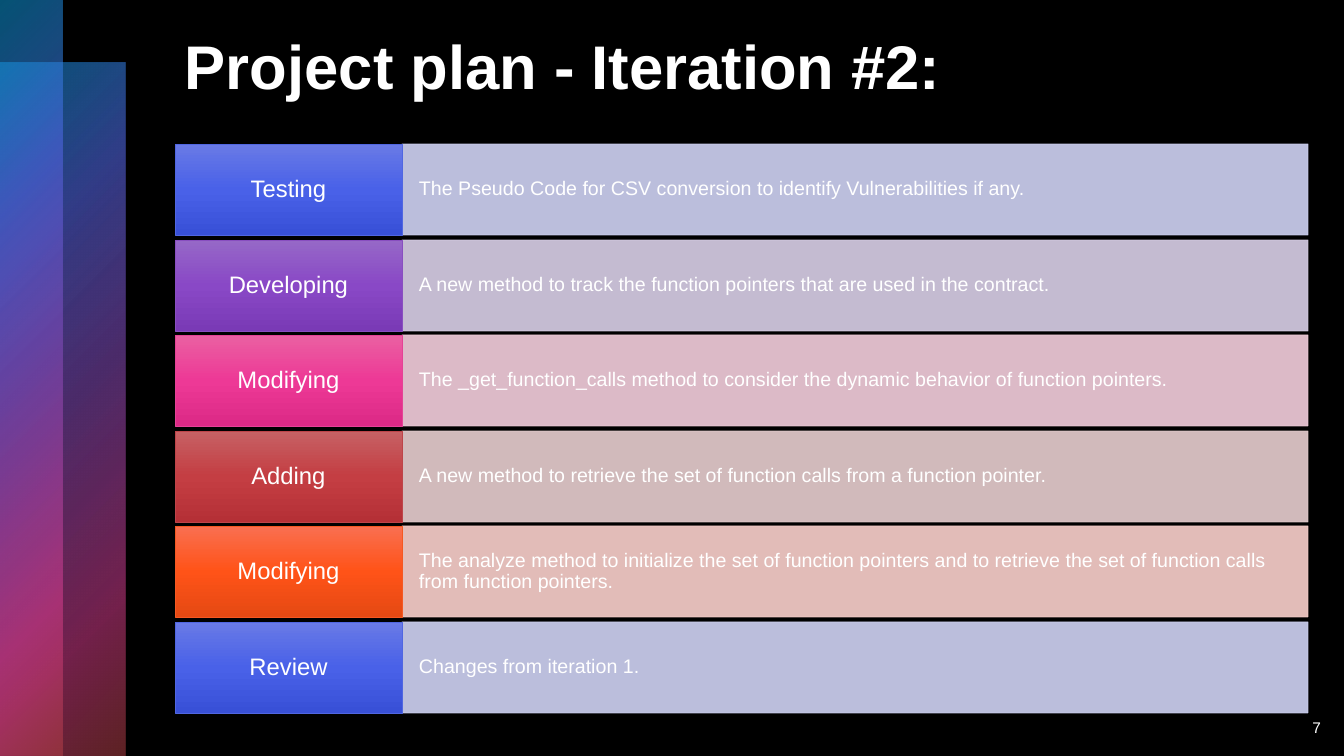
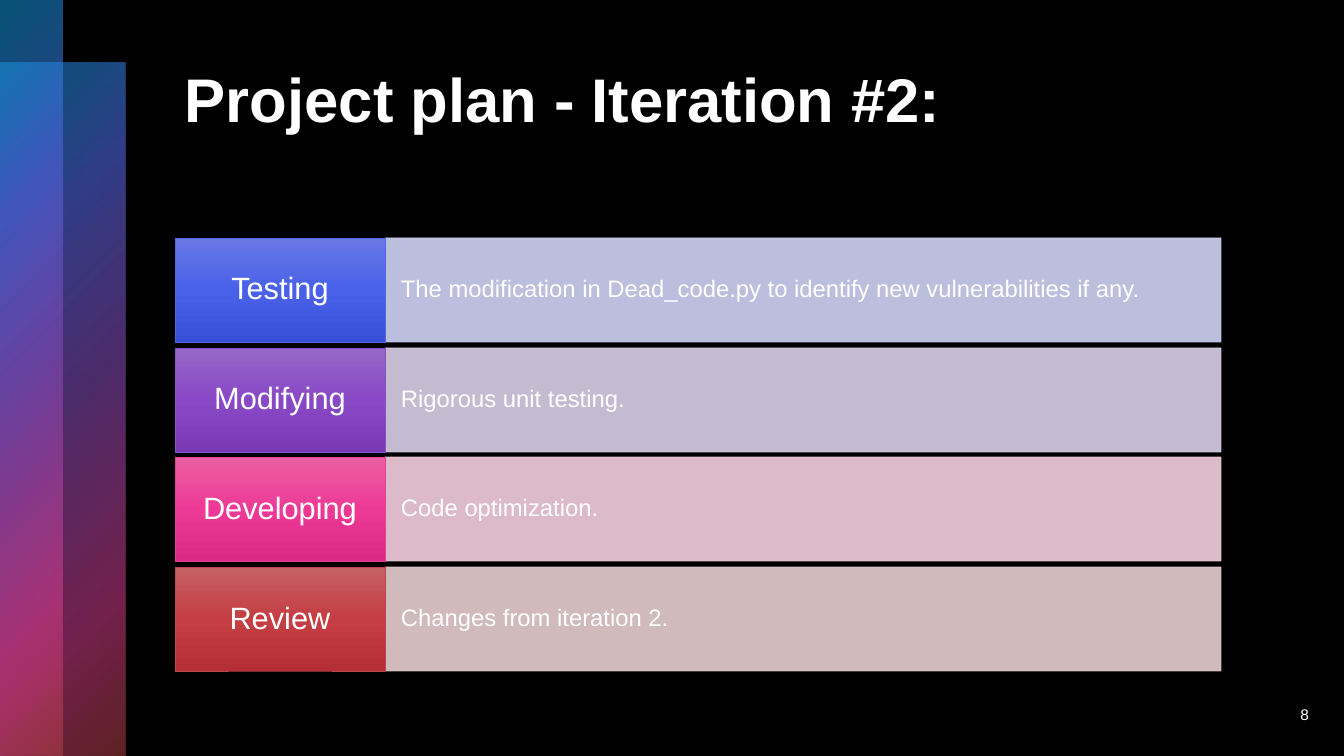
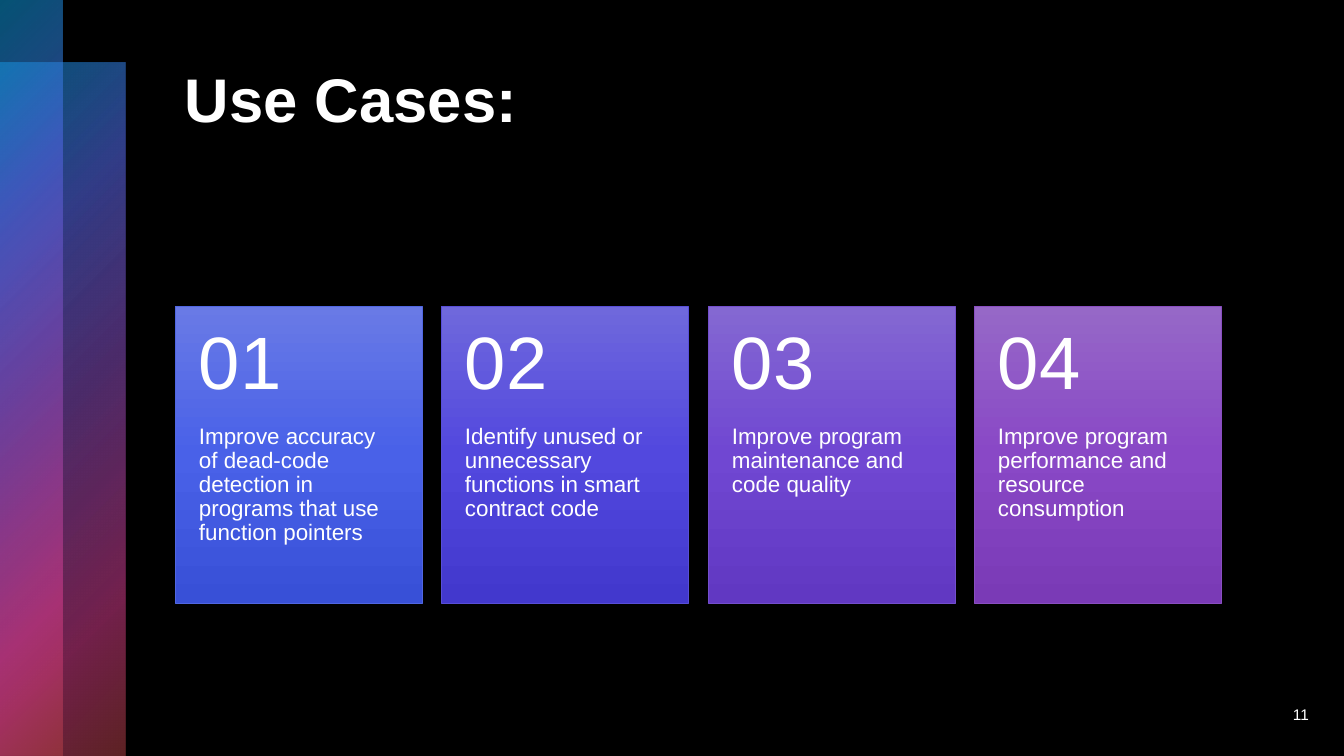
from dataclasses import dataclass

from lxml.etree import SubElement
from pptx import Presentation
from pptx.dml.color import RGBColor
from pptx.enum.shapes import MSO_SHAPE
from pptx.enum.text import MSO_ANCHOR, PP_ALIGN
from pptx.oxml.ns import qn
from pptx.presentation import Presentation as Deck
from pptx.shapes.autoshape import Shape
from pptx.slide import Slide
from pptx.util import Emu, Pt

SLIDE_WIDTH, SLIDE_HEIGHT = 1344, 756
EMU_PER_PX = 12192000 / SLIDE_WIDTH
FONT = "Arial"
CONTENT_LEFT, CONTENT_RIGHT = 175, 1221
BAND_STEP = 63

COLOURS = {
    "black": "000000", "white": "FFFFFF", "cyan": "0BA5E8",
    "blue": "5066E1", "blue_top": "697AE6", "blue_middle": "4961E8",
    "blue_bottom": "3850D7", "blue_tint": "D0D3F4",
    "indigo": "584ED7", "indigo_top": "6F68DC", "indigo_middle": "5248DE",
    "indigo_bottom": "4238CD",
    "violet": "734ECC", "violet_top": "8468D2", "violet_middle": "7047D2",
    "violet_bottom": "6138C2",
    "purple": "894EC0", "purple_top": "9668C7", "purple_middle": "8948C6",
    "purple_bottom": "7A3AB6", "purple_tint": "DAD0E8",
    "pink": "E54196", "pink_top": "EA60A2", "pink_middle": "ED3996",
    "pink_bottom": "DC2986", "pink_tint": "F5CFDD",
    "red": "BE4449", "red_top": "C66164", "red_middle": "C43E43",
    "red_bottom": "B53036", "red_tint": "E8CFD0",
    "orange": "F55822", "orange_top": "F96F51", "orange_middle": "FF5318",
    "orange_bottom": "E54913", "orange_tint": "FBD1CD",
}
ROW_ACCENTS = ["blue", "purple", "pink", "red", "orange"]
CARD_ACCENTS = ["blue", "indigo", "violet", "purple"]


@dataclass(frozen=True)
class Box:
    left: int
    top: int
    width: int
    height: int


@dataclass(frozen=True)
class Stop:
    position: int
    colour: str
    opacity: int = 100


@dataclass(frozen=True)
class TextStyle:
    size: int
    insets: tuple[int, int, int, int] = (10, 5, 10, 5)
    bold: bool = False
    align: PP_ALIGN = PP_ALIGN.LEFT
    anchor: MSO_ANCHOR = MSO_ANCHOR.MIDDLE
    line_spacing: float = 0.9


@dataclass(frozen=True)
class Step:
    label: str
    detail: str


@dataclass(frozen=True)
class StepTable:
    top: int
    bottom: int
    right: int
    row_height: int
    label_width: int
    label_style: TextStyle
    detail_style: TextStyle


BAND_STOPS = [
    Stop(0, "cyan", 50), Stop(25, "blue", 60), Stop(50, "purple", 55),
    Stop(81, "pink", 50), Stop(99, "red", 50),
]
BANDS = [
    Box(0, BAND_STEP, 2 * BAND_STEP, SLIDE_HEIGHT - BAND_STEP),
    Box(0, 0, BAND_STEP, SLIDE_HEIGHT),
]
TITLE_STYLE = TextStyle(44, (10, 11, 10, 5), bold=True, anchor=MSO_ANCHOR.TOP, line_spacing=1)
NUMBER_STYLE = TextStyle(11, align=PP_ALIGN.RIGHT, line_spacing=1)
CARD_NUMBER_STYLE = TextStyle(53, (24, 18, 24, 18))
CARD_TEXT_STYLE = TextStyle(16, (24, 0, 24, 36), anchor=MSO_ANCHOR.TOP)

CODE_TABLE = StepTable(
    144, 713, 1308, 91, 227,
    TextStyle(17, (12, 9, 12, 9), align=PP_ALIGN.CENTER),
    TextStyle(14, (17, 23, 17, 23)),
)
QUALITY_TABLE = StepTable(
    238, 671, CONTENT_RIGHT, 104, 210,
    TextStyle(22, (11, 10, 11, 10), align=PP_ALIGN.CENTER),
    TextStyle(17, (16, 26, 16, 26)),
)
CODE_STEPS = [
    Step("Testing", "The Pseudo Code for CSV conversion to identify Vulnerabilities if any."),
    Step("Developing", "A new method to track the function pointers that are used in the contract."),
    Step("Modifying", "The _get_function_calls method to consider the dynamic behavior of function pointers."),
    Step("Adding", "A new method to retrieve the set of function calls from a function pointer."),
    Step("Modifying", "The analyze method to initialize the set of function pointers and to retrieve "
         "the set of function calls from function pointers."),
    Step("Review", "Changes from iteration 1."),
]
QUALITY_STEPS = [
    Step("Testing", "The modification in Dead_code.py to identify new vulnerabilities if any."),
    Step("Modifying", "Rigorous unit testing."),
    Step("Developing", "Code optimization."),
    Step("Review", "Changes from iteration 2."),
]
USE_CASES = [
    "Improve accuracy of dead-code detection in programs that use function pointers",
    "Identify unused or unnecessary functions in smart contract code",
    "Improve program maintenance and code quality",
    "Improve program performance and resource consumption",
]


def px(length: int) -> Emu:
    return Emu(round(length * EMU_PER_PX))


def frame(box: Box) -> tuple[Emu, Emu, Emu, Emu]:
    return px(box.left), px(box.top), px(box.width), px(box.height)


def rgb(name: str) -> RGBColor:
    return RGBColor.from_string(COLOURS[name])


def spread(start: int, end: int, size: int, count: int) -> list[int]:
    pitch = (end - start - size) / (count - 1)
    return [start + round(index * pitch) for index in range(count)]


def write_text(shape: Shape, text: str, style: TextStyle) -> None:
    text_frame = shape.text_frame
    text_frame.text = text
    text_frame.word_wrap = True
    text_frame.vertical_anchor = style.anchor
    left, top, right, bottom = map(px, style.insets)
    text_frame.margin_left, text_frame.margin_top = left, top
    text_frame.margin_right, text_frame.margin_bottom = right, bottom
    paragraph = text_frame.paragraphs[0]
    paragraph.alignment = style.align
    paragraph.line_spacing = style.line_spacing
    font = paragraph.runs[0].font
    font.name, font.size, font.bold = FONT, Pt(style.size), style.bold
    font.color.rgb = rgb("white")


def add_text(slide: Slide, box: Box, text: str, style: TextStyle) -> None:
    write_text(slide.shapes.add_textbox(*frame(box)), text, style)


def add_rectangle(slide: Slide, box: Box) -> Shape:
    shape = slide.shapes.add_shape(MSO_SHAPE.RECTANGLE, *frame(box))
    shape.shadow.inherit = False
    return shape


def outline(shape: Shape, colour: str) -> None:
    shape.line.color.rgb = rgb(colour)
    shape.line.width = Pt(0.5)


def fill_gradient(shape: Shape, stops: list[Stop], radial: bool = False) -> None:
    shape.fill.gradient()
    gradient = shape._element.spPr.find(qn("a:gradFill"))
    gradient.clear()
    gradient.set("rotWithShape", "1")
    stop_list = SubElement(gradient, qn("a:gsLst"))
    for stop in stops:
        entry = SubElement(stop_list, qn("a:gs"), pos=str(stop.position * 1000))
        colour = SubElement(entry, qn("a:srgbClr"), val=COLOURS[stop.colour])
        if stop.opacity < 100:
            SubElement(colour, qn("a:alpha"), val=str(stop.opacity * 1000))
    if radial:
        circle = SubElement(gradient, qn("a:path"), attrib={"path": "circle"})
        SubElement(circle, qn("a:fillToRect"), r="100000", b="100000")
    else:
        SubElement(gradient, qn("a:lin"), ang="5400000", scaled="0")


def add_accent_box(slide: Slide, box: Box, accent: str) -> Shape:
    shape = add_rectangle(slide, box)
    parts = {0: "top", 50: "middle", 100: "bottom"}
    fill_gradient(shape, [Stop(position, f"{accent}_{part}") for position, part in parts.items()])
    outline(shape, accent)
    return shape


def add_tint_box(slide: Slide, box: Box, accent: str) -> Shape:
    shape = add_rectangle(slide, box)
    tint = f"{accent}_tint"
    shape.fill.solid()
    shape.fill.fore_color.rgb = rgb(tint)
    outline(shape, tint)
    for colour in shape._element.spPr.iter(qn("a:srgbClr")):
        SubElement(colour, qn("a:alpha"), val="90000")
    return shape


def add_base_slide(presentation: Deck, title: str, title_top: int, number: int, number_box: Box) -> Slide:
    slide = presentation.slides.add_slide(presentation.slide_layouts[6])
    slide.background.fill.solid()
    slide.background.fill.fore_color.rgb = rgb("black")
    for band_box in BANDS:
        band = add_rectangle(slide, band_box)
        fill_gradient(band, BAND_STOPS, radial=True)
        band.line.fill.background()
    title_box = Box(CONTENT_LEFT, title_top, CONTENT_RIGHT - CONTENT_LEFT, 171)
    add_text(slide, title_box, title, TITLE_STYLE)
    add_text(slide, number_box, str(number), NUMBER_STYLE)
    return slide


def add_steps(slide: Slide, table: StepTable, steps: list[Step]) -> None:
    detail_left = CONTENT_LEFT + table.label_width
    tops = spread(table.top, table.bottom, table.row_height, len(steps))
    for index, (top, step) in enumerate(zip(tops, steps)):
        accent = ROW_ACCENTS[index % len(ROW_ACCENTS)]
        detail_box = Box(detail_left, top, table.right - detail_left, table.row_height)
        label_box = Box(CONTENT_LEFT, top, table.label_width, table.row_height)
        write_text(add_tint_box(slide, detail_box, accent), step.detail, table.detail_style)
        write_text(add_accent_box(slide, label_box, accent), step.label, table.label_style)


def add_cards(slide: Slide, texts: list[str]) -> None:
    top, width, height, number_height = 306, 247, 297, 119
    lefts = spread(CONTENT_LEFT, CONTENT_RIGHT, width, len(texts))
    for number, (left, text, accent) in enumerate(zip(lefts, texts, CARD_ACCENTS), start=1):
        add_accent_box(slide, Box(left, top, width, height), accent)
        text_box = Box(left, top + number_height, width, height - number_height)
        add_text(slide, text_box, text, CARD_TEXT_STYLE)
        add_text(slide, Box(left, top, width, number_height), f"{number:02}", CARD_NUMBER_STYLE)


def main() -> None:
    presentation = Presentation()
    presentation.slide_width, presentation.slide_height = px(SLIDE_WIDTH), px(SLIDE_HEIGHT)
    plan_title = "Project plan - Iteration #2:"
    low_number_box = Box(1241, 707, 90, 40)
    number_box = Box(1229, 694, 90, 40)

    add_steps(add_base_slide(presentation, plan_title, 17, 7, low_number_box), CODE_TABLE, CODE_STEPS)
    add_steps(add_base_slide(presentation, plan_title, 50, 8, number_box), QUALITY_TABLE, QUALITY_STEPS)
    add_cards(add_base_slide(presentation, "Use Cases:", 50, 11, number_box), USE_CASES)
    presentation.save("out.pptx")


if __name__ == "__main__":
    main()
